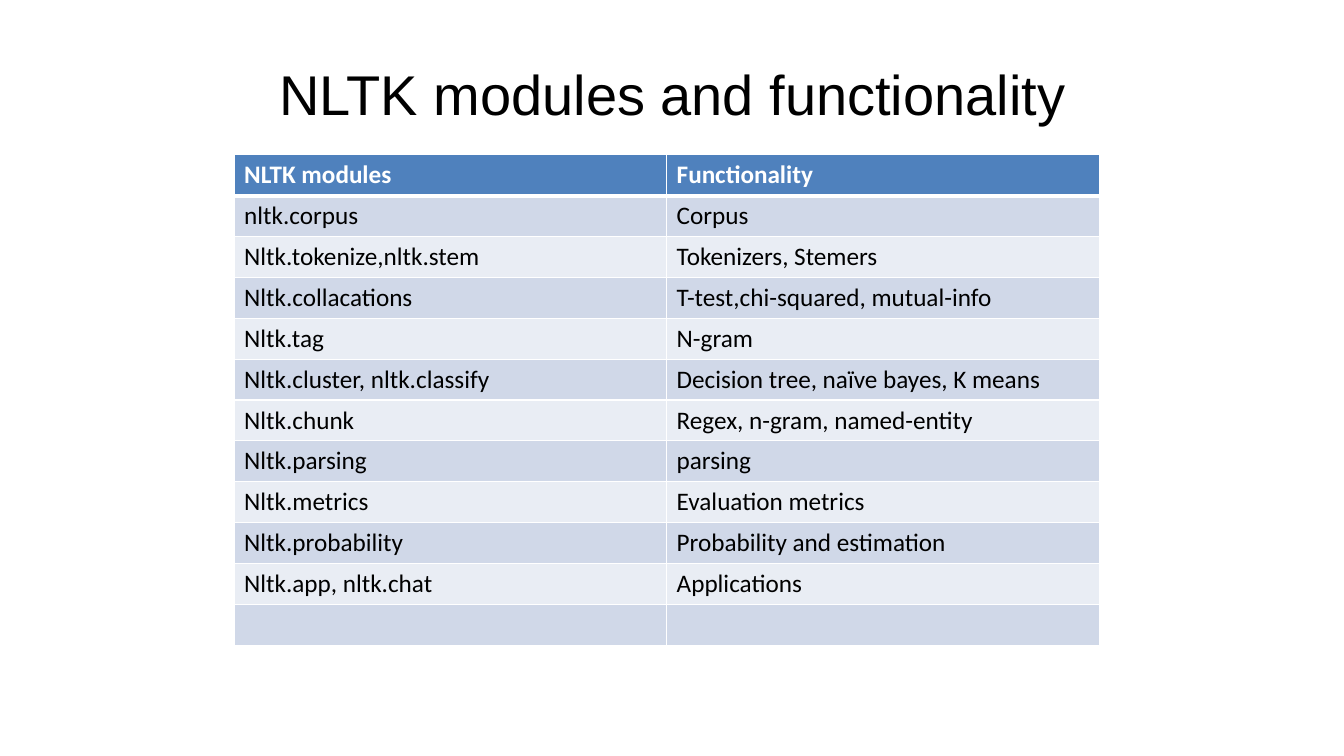
from lxml import etree
from pptx import Presentation
from pptx import util as u
from pptx.dml.color import RGBColor
from pptx.enum import text
from pptx.oxml.ns import qn

BLACK = RGBColor(0x00, 0x00, 0x00)
WHITE = RGBColor(0xFF, 0xFF, 0xFF)
HEADER = RGBColor(0x4F, 0x81, 0xBD)
BANDS = [RGBColor(0xE9, 0xED, 0xF4), RGBColor(0xD0, 0xD8, 0xE8)]

ROWS = [
    ("NLTK modules", "Functionality"),
    ("nltk.corpus", "Corpus"),
    ("Nltk.tokenize,nltk.stem", "Tokenizers, Stemers"),
    ("Nltk.collacations", "T-test,chi-squared, mutual-info"),
    ("Nltk.tag", "N-gram"),
    ("Nltk.cluster, nltk.classify", "Decision tree, naïve bayes, K means"),
    ("Nltk.chunk", "Regex, n-gram, named-entity"),
    ("Nltk.parsing", "parsing"),
    ("Nltk.metrics", "Evaluation metrics"),
    ("Nltk.probability", "Probability and estimation"),
    ("Nltk.app, nltk.chat", "Applications"),
    ("", ""),
]


def write(tf, words, font="Calibri", size=18, color=BLACK, bold=False,
          align=text.PP_ALIGN.LEFT):
    p = tf.paragraphs[0]
    p.alignment = align
    r = p.add_run()
    r.text = words
    r.font.name = font
    r.font.size = u.Pt(size)
    r.font.bold = bold
    r.font.color.rgb = color


def add_border(cell, side, width):
    ln = etree.SubElement(cell._tc.get_or_add_tcPr(), qn("a:ln" + side),
                          w=str(u.Pt(width)))
    fill = etree.SubElement(ln, qn("a:solidFill"))
    etree.SubElement(fill, qn("a:srgbClr"), val=str(WHITE))


prs = Presentation()
prs.slide_width = u.Cm(33.87)
prs.slide_height = u.Cm(19.05)
s = prs.slides.add_slide(prs.slide_layouts[6])

title = s.shapes.add_textbox(u.Cm(1.7), u.Cm(0.76), u.Cm(30.48), u.Cm(3.18))
tf = title.text_frame
tf.word_wrap = True
tf.vertical_anchor = text.MSO_ANCHOR.MIDDLE
write(tf, "NLTK modules and functionality", font="Arial", size=40,
      align=text.PP_ALIGN.CENTER)

row_height = u.Cm(1.03)
table = s.shapes.add_table(len(ROWS), 2, u.Cm(5.9), u.Cm(3.9), u.Cm(21.8),
                           row_height * len(ROWS)).table
for row in table.rows:
    row.height = row_height

for i, words in enumerate(ROWS):
    header = i == 0
    for j, word in enumerate(words):
        cell = table.cell(i, j)
        if word:
            write(cell.text_frame, word, color=WHITE if header else BLACK,
                  bold=header)
        add_border(cell, "L", 1)
        add_border(cell, "R", 1)
        add_border(cell, "T", 3 if i == 1 else 1)
        add_border(cell, "B", 3 if header else 1)
        cell.fill.solid()
        cell.fill.fore_color.rgb = HEADER if header else BANDS[i % 2]

prs.save("out.pptx")
